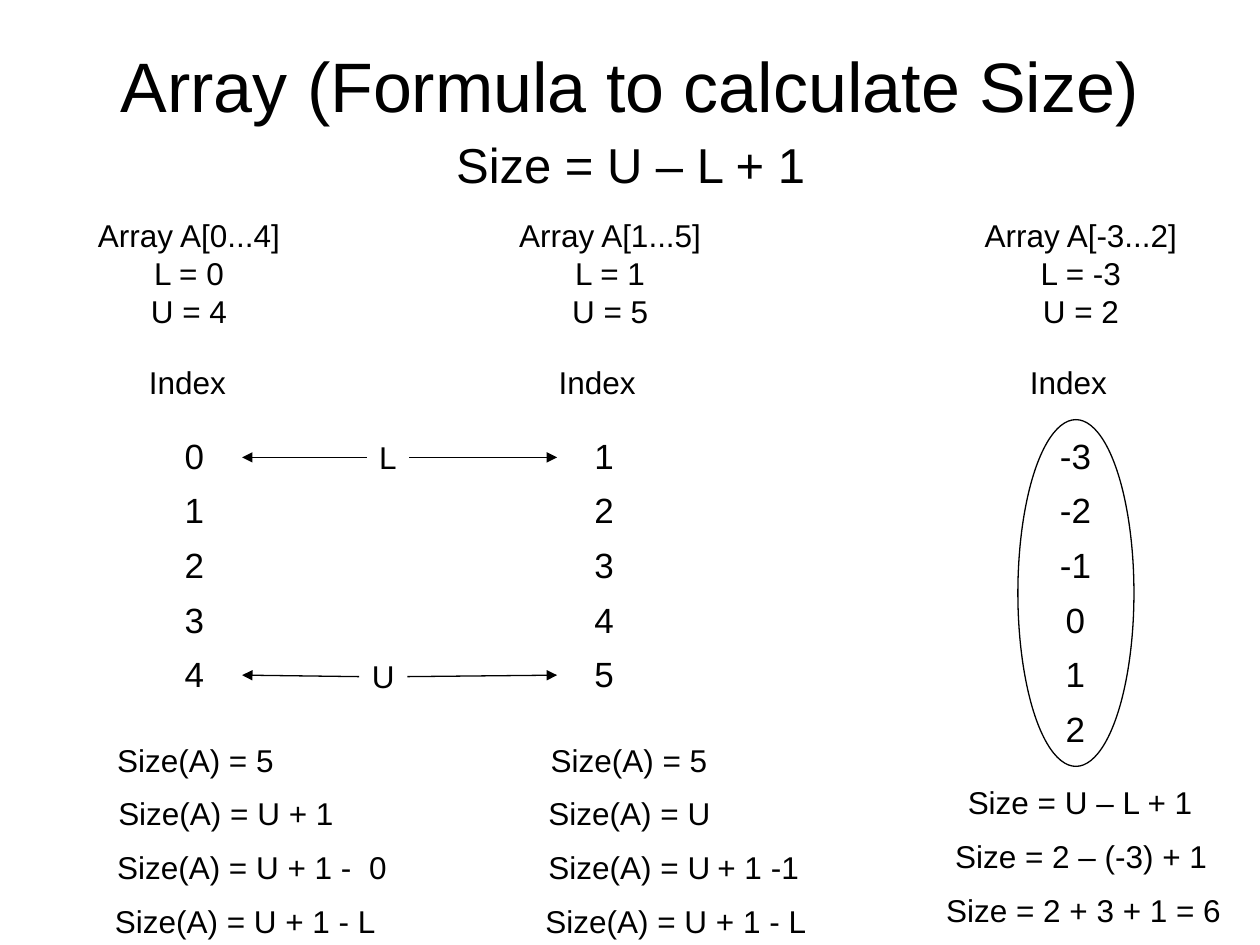
from pptx import Presentation
from pptx.dml.color import RGBColor
from pptx.enum.shapes import MSO_CONNECTOR, MSO_SHAPE
from pptx.enum.text import MSO_ANCHOR, PP_ALIGN
from pptx.oxml.ns import qn
from pptx.util import Cm, Pt
from lxml.etree import SubElement

COLORS = {"ink": "000000", "paper": "FFFFFF"}


class Deck:
    font = "Arial"
    line_width = Pt(0.75)

    def __init__(self, prs):
        self.s = prs.slides.add_slide(prs.slide_layouts[5])

    def color(self, name):
        return RGBColor.from_string(COLORS[name])

    def fill_text(self, tf, lines, size):
        for i, line in enumerate(lines):
            p = tf.add_paragraph() if i else tf.paragraphs[0]
            p.alignment = PP_ALIGN.CENTER
            r = p.add_run()
            r.text = line
            r.font.name = self.font
            r.font.size = Pt(size)
            r.font.color.rgb = self.color("ink")

    def title(self, text, x, y, w, h):
        sp = self.s.shapes.title
        sp.left, sp.top, sp.width, sp.height = Cm(x), Cm(y), Cm(w), Cm(h)
        sp.text_frame.vertical_anchor = MSO_ANCHOR.MIDDLE
        self.fill_text(sp.text_frame, [text], 40)

    def text(self, lines, x, y, w, h=1.02, size=18):
        sp = self.s.shapes.add_textbox(Cm(x), Cm(y), Cm(w), Cm(h))
        sp.text_frame.word_wrap = False
        self.fill_text(sp.text_frame, lines, size)
        return sp

    def table(self, values, x, y, w, row_h):
        n = len(values)
        table = self.s.shapes.add_table(n, 1, Cm(x), Cm(y), Cm(w), Cm(row_h * n)).table
        table.first_row = table.horz_banding = False
        for row, value in zip(table.rows, values):
            row.height = Cm(row_h)
            cell = row.cells[0]
            cell.fill.solid()
            cell.fill.fore_color.rgb = self.color("paper")
            self.fill_text(cell.text_frame, [str(value)], 20)

    def arrow(self, box, side, x, y):
        c = self.s.shapes.add_connector(MSO_CONNECTOR.STRAIGHT, 0, 0, Cm(x), Cm(y))
        c.begin_connect(box, side)
        c.line.color.rgb = self.color("ink")
        c.line.width = self.line_width
        SubElement(c.line._get_or_add_ln(), qn("a:tailEnd"), type="triangle")
        SubElement(c._element.spPr, qn("a:effectLst"))

    def ellipse(self, x, y, w, h):
        sp = self.s.shapes.add_shape(MSO_SHAPE.OVAL, Cm(x), Cm(y), Cm(w), Cm(h))
        sp.shadow.inherit = False
        sp.fill.background()
        sp.line.color.rgb = self.color("ink")
        sp.line.width = self.line_width


def main():
    prs = Presentation()
    prs.slide_width, prs.slide_height = Cm(25.4), Cm(19.05)
    d = Deck(prs)

    # Title and general formula
    d.title("Array (Formula to calculate Size)", 1.9, 0.64, 21.59, 2.11)
    d.text(["Size = U – L + 1"], 8.92, 2.59, 7.59, 1.45, size=28)

    # Arrays: lower bound, upper bound, heading left and width, table left
    arrays = [
        (0, 4, 1.7, 4.22, 2.97),
        (1, 5, 10.19, 4.22, 11.23),
        (-3, 2, 19.58, 4.42, 20.73),
    ]
    for low, up, x, w, table_x in arrays:
        d.text([f"Array A[{low}...{up}]", f"L = {low}", f"U = {up}"], x, 4.24, w, 2.54)
        d.text(["Index"], table_x - 0.22, 7.19, 2.06)
        d.table(range(low, up + 1), table_x, 8.69, 1.9, 1.1)
    d.ellipse(20.52, 8.46, 2.34, 6.99)

    # Bound labels with arrows to both index columns
    for label, x, y, w, tip_y in [("L", 7.39, 8.71, 0.86, 9.22),
                                  ("U", 7.24, 13.13, 0.97, 13.61)]:
        box = d.text([label], x, y, w)
        d.arrow(box, 1, 4.88, tip_y)
        d.arrow(box, 3, 11.23, tip_y)

    # Size derivations: top, then the pieces (text, left, width) of each row
    derivations = [
        (14.81, [
            [("Size(A) = 5", 2.11, 3.66)],
            [("Size(A) = U + 1", 2.13, 4.85)],
            [("Size(A) = U + 1 -", 2.11, 5.23), ("0", 7.19, 0.86)],
            [("Size(A) = U + 1 - L", 2.06, 5.77)],
        ]),
        (14.81, [
            [("Size(A) = 5", 10.85, 3.66)],
            [("Size(A) = U", 10.8, 3.78)],
            [("Size(A) = U", 10.8, 3.78), ("+ 1", 14.2, 1.42), ("-1", 15.29, 1.07)],
            [("Size(A) = U + 1 - L", 10.74, 5.77)],
        ]),
        (15.67, [
            [("Size = U – L + 1", 19.25, 5.05)],
            [("Size = 2 – (-3) + 1", 19, 5.59)],
            [("Size = 2 + 3 + 1 = 6", 18.82, 6.05)],
        ]),
    ]
    for top, rows in derivations:
        for i, pieces in enumerate(rows):
            for text, x, w in pieces:
                d.text([text], x, top + 1.08 * i, w)

    prs.save("out.pptx")


if __name__ == "__main__":
    main()
